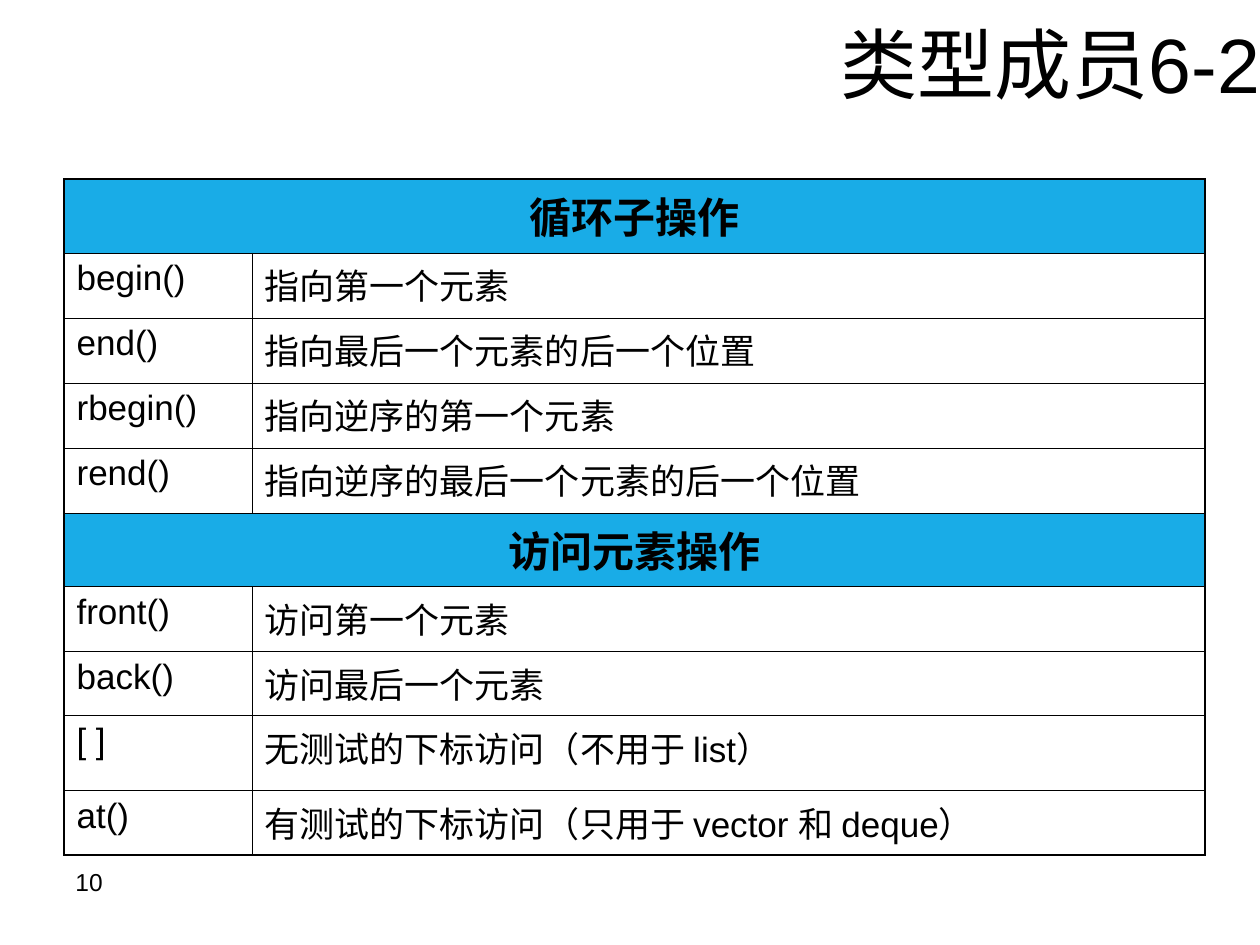
import lxml.etree
import pptx
import pptx.dml.color
import pptx.enum.text
import pptx.oxml.ns
import pptx.util

PX = 914400 / 126
THEME = {
    "font": "Arial",
    "ink": pptx.dml.color.RGBColor.from_string("000000"),
    "band": pptx.dml.color.RGBColor.from_string("19ACE7"),
    "title": 44,
    "heading": 24,
    "entry": 20,
    "number": 14,
    "outer": 1.08,
    "inner": 0.45,
}
ALIGN = pptx.enum.text.PP_ALIGN


def px(length):
    return round(length * PX)


def write(frame, text, size, align=ALIGN.LEFT, before=0, bold=False):
    frame.text = text
    paragraph = frame.paragraphs[0]
    for key, value in {"alignment": align, "space_before": pptx.util.Pt(before)}.items():
        setattr(paragraph, key, value)
    font = paragraph.runs[0].font
    for key, value in {"name": THEME["font"], "size": pptx.util.Pt(THEME[size]), "bold": bold}.items():
        setattr(font, key, value)
    font.color.rgb = THEME["ink"]


deck = pptx.Presentation()
deck.slide_width, deck.slide_height = px(1260), px(945)
slide = deck.slides.add_slide(deck.slide_layouts[5])

title = slide.shapes.title
title_format = {"left": px(126), "top": 0, "width": px(1134), "height": px(125)}
for key, value in title_format.items():
    setattr(title, key, value)
title_frame_format = {
    "margin_left": 0,
    "margin_right": 0,
    "margin_top": 0,
    "margin_bottom": 0,
    "vertical_anchor": pptx.enum.text.MSO_ANCHOR.MIDDLE,
    "auto_size": pptx.enum.text.MSO_AUTO_SIZE.NONE,
}
for key, value in title_frame_format.items():
    setattr(title.text_frame, key, value)
write(title.text_frame, "类型成员6-2", "title", ALIGN.RIGHT)

page_number = slide.shapes.add_textbox(px(63), px(861), px(294), px(65))
page_number.text_frame.word_wrap = True
write(page_number.text_frame, "10", "number")

operations = [
    (74, "循环子操作", None),
    (65, "begin()", "指向第一个元素"),
    (65, "end()", "指向最后一个元素的后一个位置"),
    (65, "rbegin()", "指向逆序的第一个元素"),
    (65, "rend()", "指向逆序的最后一个元素的后一个位置"),
    (74, "访问元素操作", None),
    (65, "front()", "访问第一个元素"),
    (64, "back()", "访问最后一个元素"),
    (75, "[ ]", "无测试的下标访问（不用于 list）"),
    (64, "at()", "有测试的下标访问（只用于 vector 和 deque）"),
]
column_widths = [188, 953]
members = slide.shapes.add_table(
    len(operations), 2, px(64), px(179),
    px(sum(column_widths)), px(sum(row[0] for row in operations)),
).table
members.first_row = members.horz_banding = False
for column, width in zip(members.columns, column_widths):
    column.width = px(width)

last_row = len(operations) - 1
for row, (height, member, meaning) in enumerate(operations):
    members.rows[row].height = px(height)
    heading = meaning is None
    if heading:
        members.cell(row, 0).merge(members.cell(row, 1))
        write(members.cell(row, 0).text_frame, member, "heading", ALIGN.CENTER, 6, True)
    else:
        write(members.cell(row, 0).text_frame, member, "entry", before=5)
        write(members.cell(row, 1).text_frame, meaning, "entry", before=5)
    for column in range(2):
        cell = members.cell(row, column)
        properties = cell._tc.get_or_add_tcPr()
        outer_edges = {
            "lnL": column == 0,
            "lnR": column == 1 or heading,
            "lnT": row == 0,
            "lnB": row == last_row,
        }
        for edge, is_outer in outer_edges.items():
            weight = pptx.util.Pt(THEME["outer" if is_outer else "inner"])
            line = lxml.etree.SubElement(properties, pptx.oxml.ns.qn(f"a:{edge}"), w=str(weight))
            solid = lxml.etree.SubElement(line, pptx.oxml.ns.qn("a:solidFill"))
            lxml.etree.SubElement(solid, pptx.oxml.ns.qn("a:srgbClr"), val=str(THEME["ink"]))
        if heading:
            cell.fill.solid()
            cell.fill.fore_color.rgb = THEME["band"]
        else:
            cell.fill.background()

deck.save("out.pptx")
